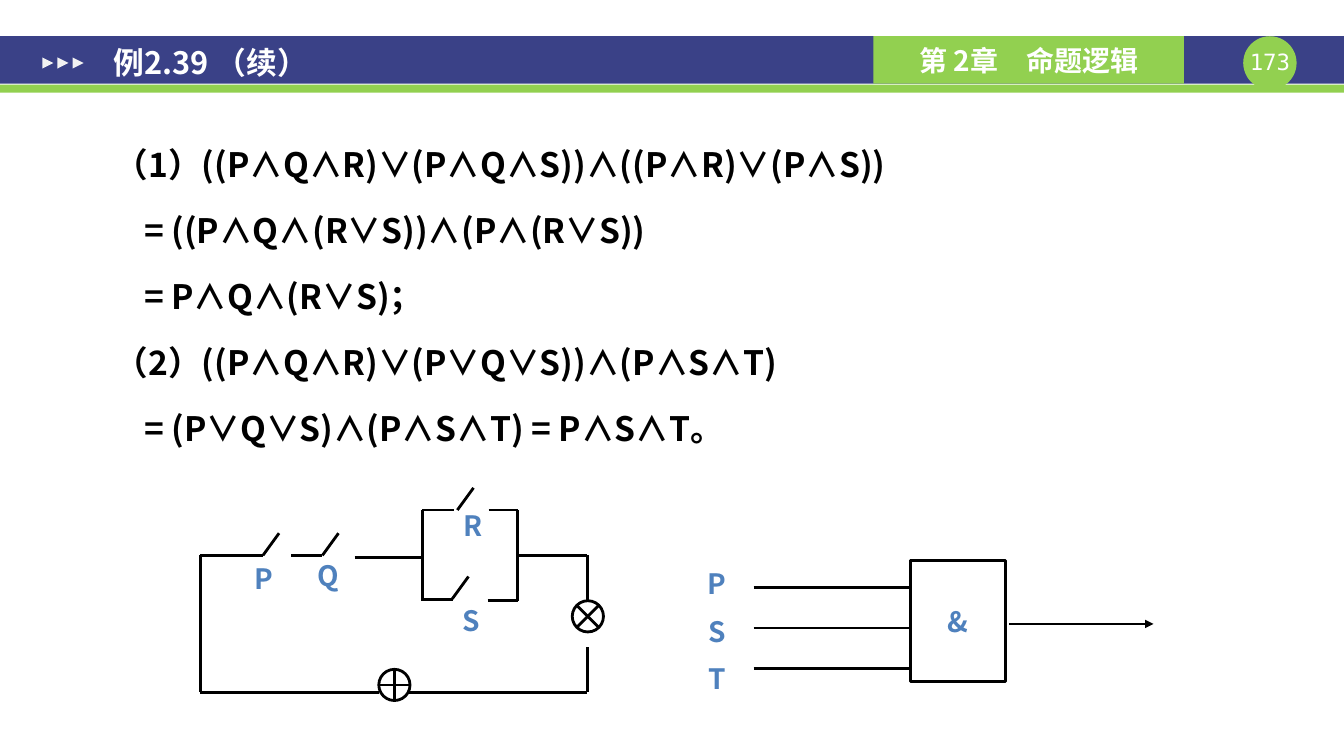
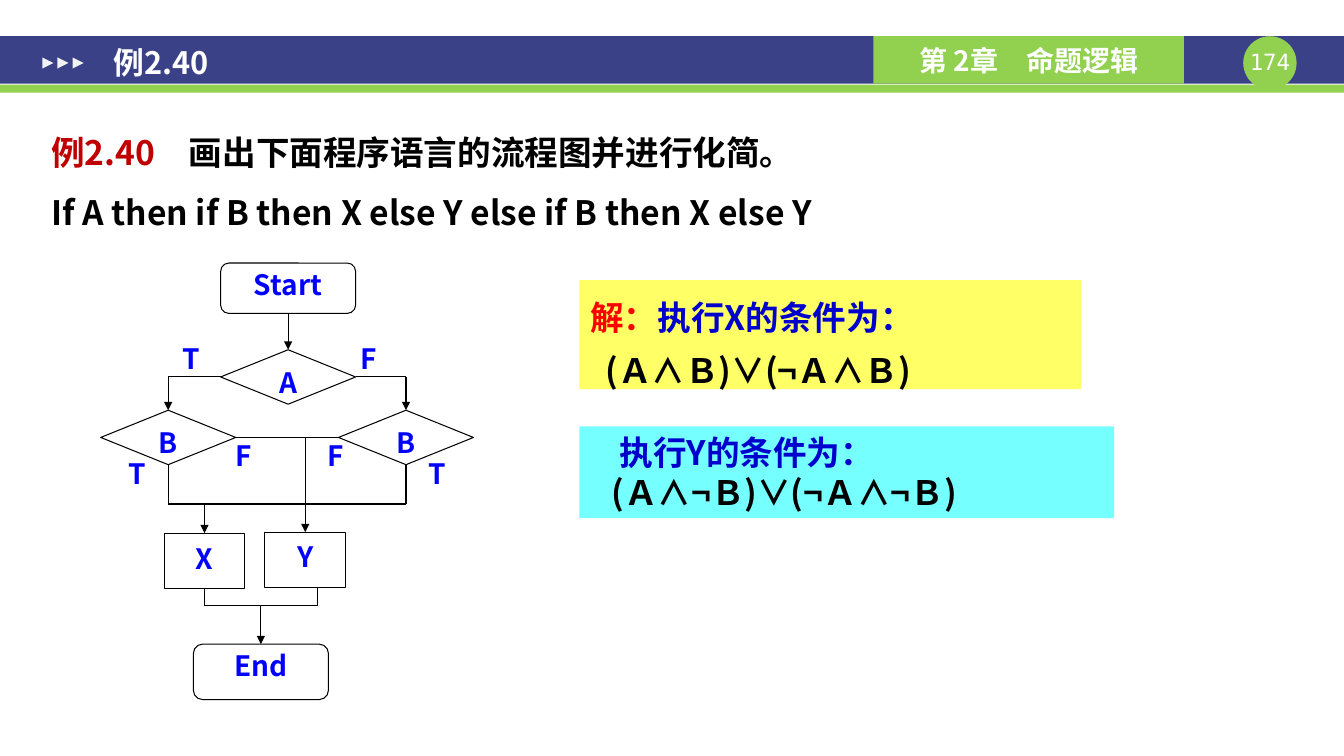
from lxml import etree
from pptx import Presentation
from pptx.dml.color import RGBColor
from pptx.enum import shapes, text
from pptx.oxml import ns
from pptx.util import Inches, Pt

NAVY = RGBColor(0x3A, 0x41, 0x87)
GREEN = RGBColor(0x92, 0xD0, 0x50)
PALE = RGBColor(0xF2, 0xF2, 0xF2)
WHITE = RGBColor(0xFF, 0xFF, 0xFF)
BLACK = RGBColor(0x00, 0x00, 0x00)
STEEL = RGBColor(0x4F, 0x81, 0xBD)
BLUE = RGBColor(0x00, 0x00, 0xFF)
DEEP_BLUE = RGBColor(0x00, 0x00, 0xCC)
RED = RGBColor(0xFF, 0x00, 0x00)
DARK_RED = RGBColor(0xC0, 0x00, 0x00)
YELLOW = RGBColor(0xFF, 0xFF, 0x66)
CYAN = RGBColor(0x66, 0xFF, 0xFF)

BODY_FONT = "Noto Sans CJK SC"
NUMBER_FONT = "DejaVu Sans Mono"
SHAPE = shapes.MSO_SHAPE
CENTER = text.PP_ALIGN.CENTER
LEFT = text.PP_ALIGN.LEFT
TOP = text.MSO_ANCHOR.TOP
MIDDLE = text.MSO_ANCHOR.MIDDLE
CIRCUIT_WIDTH = 2
FLOW_WIDTH = 0.75
WIDE_INSETS = (0.13, 0.07)


def style_span(span, size, color, font, bold):
    span.font.size = Pt(size)
    span.font.bold = bold
    span.font.color.rgb = color
    span.font.name = font
    east_asian = etree.SubElement(span.font._element, ns.qn("a:ea"))
    east_asian.set("typeface", font)


def write(box, lines, size, align=LEFT, anchor=TOP, pitch=None,
          insets=(0.1, 0.05), font=BODY_FONT, bold=True):
    frame = box.text_frame
    frame.word_wrap = True
    frame.vertical_anchor = anchor
    frame.margin_left = frame.margin_right = Inches(insets[0])
    frame.margin_top = frame.margin_bottom = Inches(insets[1])
    for number, (indent, spans) in enumerate(lines):
        para = frame.add_paragraph() if number else frame.paragraphs[0]
        para.alignment = align
        if pitch:
            para.line_spacing = Pt(pitch)
        if indent:
            properties = para._p.get_or_add_pPr()
            properties.set("marL", str(Inches(indent)))
            properties.set("indent", "0")
        for words, color in spans:
            span = para.add_run()
            span.text = words
            style_span(span, size, color, font, bold)


def add_text(page, left, top, width, height, lines, size, **layout):
    box = page.shapes.add_textbox(Inches(left), Inches(top), Inches(width), Inches(height))
    write(box, lines, size, **layout)
    return box


def add_box(page, kind, left, top, width, height, fill=WHITE, border=None):
    box = page.shapes.add_shape(kind, Inches(left), Inches(top), Inches(width), Inches(height))
    box.shadow.inherit = False
    box.fill.solid()
    box.fill.fore_color.rgb = fill
    if border:
        box.line.color.rgb = BLACK
        box.line.width = Pt(border)
    else:
        box.line.fill.background()
    return box


def add_label(page, words, center, top, color):
    add_text(page, center - 0.27, top, 0.54, 0.55, [(0, [(words, color)])], 20,
             align=CENTER, pitch=25)


def add_line(page, start, end, width, arrow=False):
    joined_start, joined_end = (not isinstance(place[0], (int, float)) for place in (start, end))
    x1, y1 = (0, 0) if joined_start else start
    x2, y2 = (0, 0) if joined_end else end
    line = page.shapes.add_connector(shapes.MSO_CONNECTOR.STRAIGHT,
                                     Inches(x1), Inches(y1), Inches(x2), Inches(y2))
    if joined_start:
        line.begin_connect(*start)
    if joined_end:
        line.end_connect(*end)
    line.line.color.rgb = BLACK
    line.line.width = Pt(width)
    if arrow:
        head = etree.SubElement(line.line._get_or_add_ln(), ns.qn("a:tailEnd"))
        head.set("type", "triangle")
    etree.SubElement(line._element.spPr, ns.qn("a:effectLst"))
    return line


def add_page(deck, title, number):
    page = deck.slides.add_slide(deck.slide_layouts[6])
    add_box(page, SHAPE.RECTANGLE, 0, 0.36, 13.34, 0.47, NAVY)
    add_box(page, SHAPE.RECTANGLE, 0, 0.84, 13.34, 0.08, GREEN)
    add_box(page, SHAPE.OVAL, 12.34, 0.36, 0.53, 0.53, GREEN)
    add_text(page, 12.34, 0.48, 0.53, 0.27, [(0, [(number, WHITE)])], 16,
             align=CENTER, insets=(0, 0), font=NUMBER_FONT, bold=False)
    chapter = add_box(page, SHAPE.RECTANGLE, 8.67, 0.36, 3.08, 0.47, GREEN)
    write(chapter, [(0, [("第 2章　命题逻辑", WHITE)])], 20, align=CENTER, anchor=MIDDLE)
    for step in range(3):
        marker = add_box(page, SHAPE.ISOSCELES_TRIANGLE, 0.42 + 0.15 * step, 0.57,
                         0.11, 0.11, PALE)
        marker.rotation = 90
    add_text(page, 1, 0.11, 8.82, 1.01, [(0, [(title, WHITE)])], 22,
             anchor=MIDDLE, insets=WIDE_INSETS)
    return page


def add_circuit(page):
    left, right, top, bottom = 1.99, 5.83, 5.51, 6.87
    branch_left, branch_right, branch_top, branch_bottom = 4.19, 5.14, 5.06, 5.96
    for words, center, label_top in (("S", 4.68, 5.92), ("R", 4.7, 4.98),
                                     ("Q", 3.26, 5.48), ("P", 2.62, 5.51)):
        add_label(page, words, center, label_top, STEEL)
    wires = [
        ((left, top), (2.61, top)),
        ((2.89, top), (3.2, top)),
        ((3.52, 5.53), (branch_left, 5.53)),
        ((branch_left, branch_top), (branch_left, branch_bottom)),
        ((branch_left, branch_top), (4.51, branch_top)),
        ((4.85, branch_top), (branch_right, branch_top)),
        ((branch_left, 5.95), (4.5, 5.95)),
        ((4.84, branch_bottom), (branch_right, branch_bottom)),
        ((branch_right, branch_top), (branch_right, branch_bottom)),
        ((branch_right, top), (right, top)),
        ((right, top), (right, 5.96)),
        ((right, 6.42), (right, bottom)),
        ((3.99, bottom), (right, bottom)),
        ((left, bottom), (3.76, bottom)),
        ((left, top), (left, bottom)),
    ]
    for x, y in ((2.61, top), (3.2, top), (4.54, branch_top), (4.49, 5.94)):
        wires.append(((x, y), (x + 0.16, y - 0.22)))
    for start, end in wires:
        add_line(page, start, end, CIRCUIT_WIDTH)
    add_box(page, SHAPE.FLOWCHART_SUMMING_JUNCTION, 5.68, 5.96, 0.31, 0.31, border=CIRCUIT_WIDTH)
    add_box(page, SHAPE.FLOWCHART_OR, 3.76, 6.64, 0.31, 0.31, border=CIRCUIT_WIDTH)


def add_gate(page):
    gate = add_box(page, SHAPE.RECTANGLE, 9.04, 5.56, 0.94, 1.2, border=CIRCUIT_WIDTH)
    write(gate, [(0, [("&", STEEL)])], 20, align=CENTER, anchor=MIDDLE)
    for row, words in enumerate("PST"):
        add_label(page, words, 7.12, 5.56 + 0.47 * row, STEEL)
        y = 5.83 + 0.4 * row
        add_line(page, (7.48, y), (9.04, y), CIRCUIT_WIDTH)
    add_line(page, (10.02, 6.19), (11.45, 6.19), CIRCUIT_WIDTH, arrow=True)


def add_step(page, kind, words, left, top, width, height, pitch):
    step = add_box(page, kind, left, top, width, height, border=FLOW_WIDTH)
    write(step, [(0, [(words, BLUE)])], 20, align=CENTER, pitch=pitch)
    return step


def add_flowchart(page):
    for words, center, top in (("T", 1.9, 3.32), ("F", 3.66, 3.32), ("F", 2.42, 4.29),
                               ("T", 1.36, 4.47), ("F", 3.33, 4.29), ("T", 4.34, 4.47)):
        add_label(page, words, center, top, BLUE)
    terminal, decision = SHAPE.FLOWCHART_ALTERNATE_PROCESS, SHAPE.FLOWCHART_DECISION
    begin = add_step(page, terminal, "Start", 2.19, 2.61, 1.34, 0.5, 22)
    test_a = add_step(page, decision, "A", 2.19, 3.47, 1.34, 0.54, 22)
    left_b = add_step(page, decision, "B", 1, 4.07, 1.34, 0.54, 22)
    right_b = add_step(page, decision, "B", 3.36, 4.07, 1.34, 0.54, 22)
    action_x = add_step(page, SHAPE.FLOWCHART_PROCESS, "X", 1.63, 5.29, 0.8, 0.55, 26)
    action_y = add_step(page, SHAPE.RECTANGLE, "Y", 2.63, 5.28, 0.8, 0.55, 26)
    finish = add_step(page, terminal, "End", 1.92, 6.39, 1.34, 0.55, 22)

    left_x, right_x, split_y, merge_y, exit_y = 1.67, 4.03, 3.74, 5, 6.01
    plain = [
        ((test_a, 1), (left_x, split_y)),
        ((test_a, 3), (right_x, split_y)),
        ((left_b, 3), (right_b, 1)),
        ((left_b, 2), (left_x, merge_y)),
        ((right_b, 2), (right_x, merge_y)),
        ((left_x, merge_y), (right_x, merge_y)),
        ((action_x, 2), (2.03, exit_y)),
        ((3.15, 5.83), (3.15, exit_y)),
        ((2.03, exit_y), (3.15, exit_y)),
    ]
    arrows = [
        ((begin, 2), (test_a, 0)),
        ((left_x, split_y), (left_b, 0)),
        ((right_x, split_y), (right_b, 0)),
        ((2.03, merge_y), (action_x, 0)),
        ((3.03, 4.34), (action_y, 0)),
        ((2.59, exit_y), (finish, 0)),
    ]
    for links, arrow in ((plain, False), (arrows, True)):
        for start, end in links:
            add_line(page, start, end, FLOW_WIDTH, arrow)


def add_answers(page):
    answer_x = add_box(page, SHAPE.RECTANGLE, 5.75, 2.78, 4.98, 1.08, YELLOW)
    write(answer_x, [
        (0.07, [("解：", RED), ("执行X的条件为：", DEEP_BLUE)]),
        (0.22, [("(Ａ∧Ｂ)∨(¬Ａ∧Ｂ)", BLACK)]),
    ], 24, pitch=38, insets=(0.04, 0.04))
    answer_y = add_box(page, SHAPE.RECTANGLE, 5.75, 4.23, 5.31, 0.91, CYAN)
    tint = answer_y._element.spPr.find(".//" + ns.qn("a:srgbClr"))
    etree.SubElement(tint, ns.qn("a:alpha")).set("val", "90000")
    write(answer_y, [
        (0.3, [("执行Y的条件为：", DEEP_BLUE)]),
        (0.22, [("(Ａ∧¬Ｂ)∨(¬Ａ∧¬Ｂ)", BLACK)]),
    ], 24, pitch=29)


def build_circuit_page(deck):
    page = add_page(deck, "例2.39 （续）", "173")
    formulas = (
        (0.08, "（1）((P∧Q∧R)∨(P∧Q∧S))∧((P∧R)∨(P∧S))"),
        (0.37, "= ((P∧Q∧(R∨S))∧(P∧(R∨S))"),
        (0.37, "= P∧Q∧(R∨S)；"),
        (0.08, "（2）((P∧Q∧R)∨(P∨Q∨S))∧(P∧S∧T)"),
        (0.37, "= (P∨Q∨S)∧(P∧S∧T) = P∧S∧T。"),
    )
    add_text(page, 0.93, 1.1, 11.12, 3.58,
             [(indent, [(words, BLACK)]) for indent, words in formulas], 24,
             pitch=47.2, insets=WIDE_INSETS)
    add_circuit(page)
    add_gate(page)


def build_flowchart_page(deck):
    page = add_page(deck, "例2.40", "174")
    add_text(page, 0.38, 1.04, 9.06, 1.32, [
        (0, [("例2.40　", DARK_RED), ("画出下面程序语言的流程图并进行化简。", BLACK)]),
        (0, [("If A then if B then X else Y else if B then X else Y", BLACK)]),
    ], 24, pitch=43, insets=WIDE_INSETS)
    add_flowchart(page)
    add_answers(page)


def main():
    deck = Presentation()
    deck.slide_width = Inches(13.34)
    deck.slide_height = Inches(7.5)
    build_circuit_page(deck)
    build_flowchart_page(deck)
    deck.save("out.pptx")


if __name__ == "__main__":
    main()
